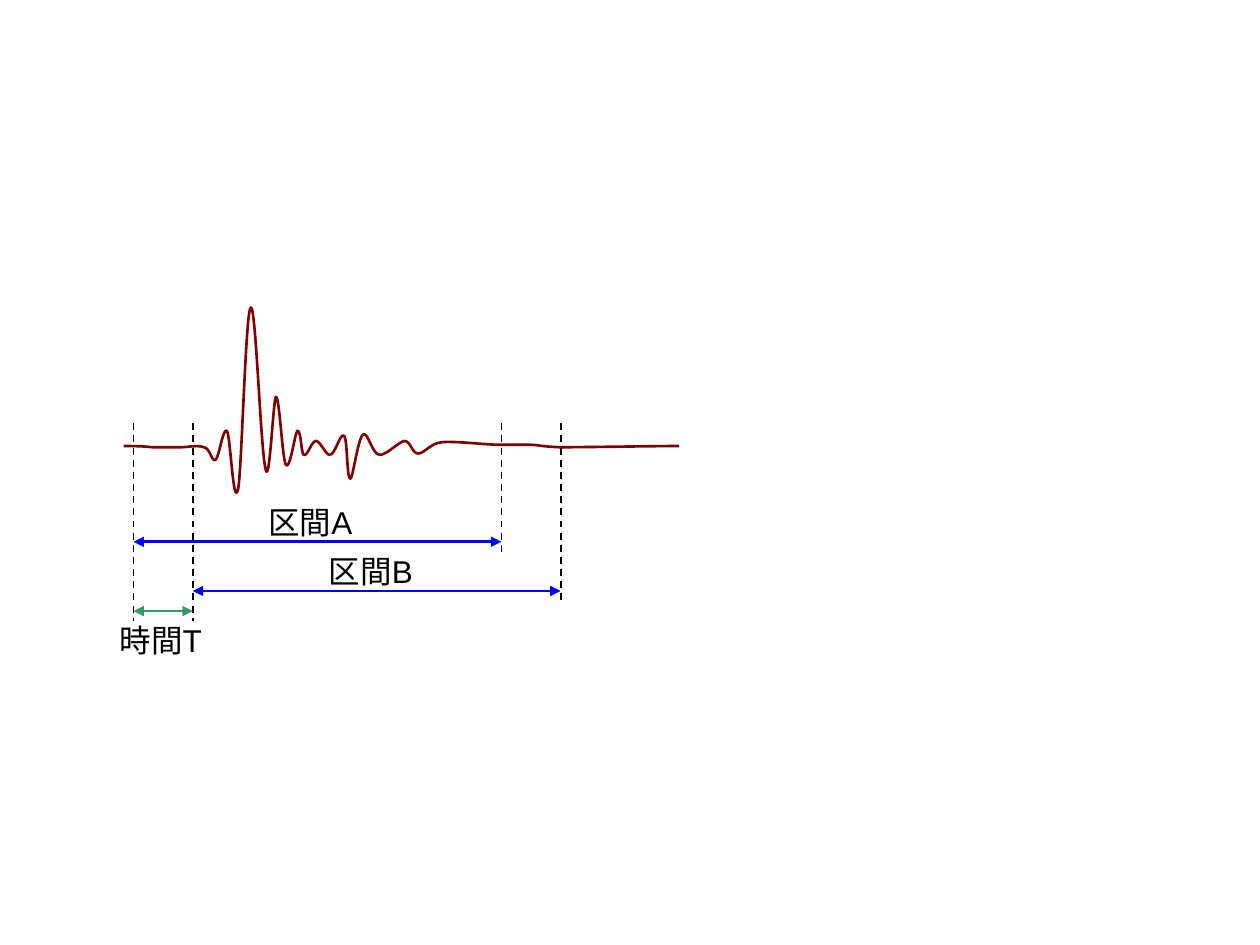
from dataclasses import dataclass

from lxml.etree import SubElement
from pptx import Presentation
from pptx.dml.color import RGBColor as RGB
from pptx.enum.dml import MSO_LINE_DASH_STYLE as DASH
from pptx.enum.shapes import MSO_CONNECTOR as CONNECTOR
from pptx.enum.text import MSO_AUTO_SIZE as AUTO_SIZE
from pptx.oxml.ns import qn
from pptx.util import Pt


@dataclass(frozen=True)
class Theme:
    signal: RGB = RGB(0x80, 0x00, 0x00)
    section: RGB = RGB(0x00, 0x00, 0xFF)
    delay: RGB = RGB(0x33, 0x99, 0x66)
    ink: RGB = RGB(0x00, 0x00, 0x00)
    font: str = "Arial"
    label_size: float = 18
    bold_line: float = 1.5
    thin_line: float = 1


THEME = Theme()

# Time axis: section B is section A moved by the delay T
START_A, DELAY, SECTION = 76.3, 33.9, 210.2
START_B = START_A + DELAY
END_A, END_B = START_A + SECTION, START_B + SECTION

# Heights of the marks and of the three dimension arrows
MARK_TOP, OVERSHOOT = 241.9, 5.8
ROW_A, ROW_B, ROW_T = 309.6, 337.7, 349.2

# Signal: start point, then two control points and an end point per curve
SIGNAL_START = (70.6, 254.9)
SIGNAL_CURVES = [
    (73.4, 254.9, 81.4, 254.9, 87.1, 255.6),
    (92.2, 255.6, 97.9, 255.6, 103, 255.6),
    (107.3, 255.6, 113, 254.2, 116.6, 255.6),
    (120.2, 256.3, 121, 264.2, 123.1, 262.8),
    (125.3, 261.4, 127.4, 244.1, 129.6, 246.2),
    (131.8, 249.1, 133.2, 291.6, 136.1, 279.4),
    (138.2, 267.8, 140.4, 177.1, 143.3, 175.7),
    (146.2, 173.5, 149, 259.9, 151.9, 268.6),
    (154.1, 277.2, 156.2, 227.5, 157.7, 226.8),
    (159.8, 226.8, 161.3, 262.8, 163.4, 265.7),
    (165.6, 269.3, 168.5, 247.7, 169.9, 246.2),
    (172.1, 245.5, 172.1, 259.2, 173.5, 259.9),
    (175.7, 261.4, 177.8, 252, 180.7, 252),
    (182.9, 252, 186.5, 260.6, 188.6, 259.9),
    (191.5, 259.9, 194.4, 247, 196.6, 249.1),
    (198.7, 251.3, 198, 273.6, 200.2, 273.6),
    (201.6, 273.6, 204.5, 250.6, 207.4, 248.4),
    (210.2, 246.2, 212.4, 259.2, 216.7, 259.9),
    (220.3, 260.6, 227.5, 252.7, 231.1, 252),
    (234.7, 252, 235.4, 259.2, 239, 259.2),
    (242.6, 259.2, 245.5, 253.4, 252.7, 252.7),
    (260.6, 252, 277.2, 254.2, 285.8, 254.2),
    (293.8, 254.2, 296.6, 254.2, 302.4, 254.2),
    (308.2, 254.2, 306, 254.9, 319.7, 255.6),
    (334.1, 255.6, 374.4, 254.9, 388.1, 254.9),
]


def apply_format(target, values):
    for name, value in values.items():
        setattr(target, name, value)


def add_signal(slide):
    points = [(Pt(c[i]), Pt(c[i + 1])) for c in SIGNAL_CURVES for i in (0, 2, 4)]
    builder = slide.shapes.build_freeform(*map(Pt, SIGNAL_START), scale=1.0)
    builder.add_line_segments(points, close=False)
    signal = builder.convert_to_shape()
    signal.shadow.inherit = False
    signal.fill.background()
    signal.line.color.rgb = THEME.signal
    signal.line.width = Pt(THEME.bold_line)

    # Every three straight segments become one Bezier curve
    outline = next(signal.element.iter(qn("a:path")))
    segments = outline.findall(qn("a:lnTo"))
    for first in range(0, len(segments), 3):
        curve = SubElement(outline, qn("a:cubicBezTo"))
        for segment in segments[first:first + 3]:
            curve.append(segment[0])
            outline.remove(segment)


def add_line(slide, start, end, color, width):
    line = slide.shapes.add_connector(
        CONNECTOR.STRAIGHT, *map(Pt, (*start, *end)))
    line.line.color.rgb = color
    line.line.width = Pt(width)
    SubElement(line.element.spPr, qn("a:effectLst"))
    return line


def add_mark(slide, x, row):
    mark = add_line(slide, (x, MARK_TOP), (x, row + OVERSHOOT),
                    THEME.ink, THEME.thin_line)
    mark.line.dash_style = DASH.DASH


def add_dimension(slide, left, right, row, color):
    dimension = add_line(slide, (left, row), (right, row), color, THEME.bold_line)
    outline = dimension.line._get_or_add_ln()
    for end in ("a:headEnd", "a:tailEnd"):
        SubElement(outline, qn(end), type="triangle")


def add_label(slide, text, left, top, width):
    label = slide.shapes.add_textbox(*map(Pt, (left, top, width, 21.6)))
    frame = label.text_frame
    apply_format(frame, {
        "margin_left": 0, "margin_top": 0, "margin_right": 0, "margin_bottom": 0,
        "word_wrap": False, "auto_size": AUTO_SIZE.SHAPE_TO_FIT_TEXT,
    })
    run = frame.paragraphs[0].add_run()
    run.text = text
    apply_format(run.font, {"name": THEME.font, "size": Pt(THEME.label_size)})
    run.font.color.rgb = THEME.ink


def main():
    deck = Presentation()
    apply_format(deck, {"slide_width": Pt(720), "slide_height": Pt(540)})
    slide = deck.slides.add_slide(deck.slide_layouts[6])

    # Waveform
    add_signal(slide)

    # Dashed marks at the section limits
    for x, row in ((START_A, ROW_T), (END_A, ROW_A),
                   (START_B, ROW_T), (END_B, ROW_B)):
        add_mark(slide, x, row)

    # Sections and the delay between them
    for left, right, row, color in (
            (START_A, END_A, ROW_A, THEME.section),
            (START_B, END_B, ROW_B, THEME.section),
            (START_A, START_B, ROW_T, THEME.delay)):
        add_dimension(slide, left, right, row, color)

    # Labels
    for text, left, top, width in (
            ("区間A", 153.4, 287.3, 52.6),
            ("区間B", 187.9, 315.4, 52.6),
            ("時間T", 68.4, 355, 51.1)):
        add_label(slide, text, left, top, width)

    deck.save("out.pptx")


if __name__ == "__main__":
    main()
